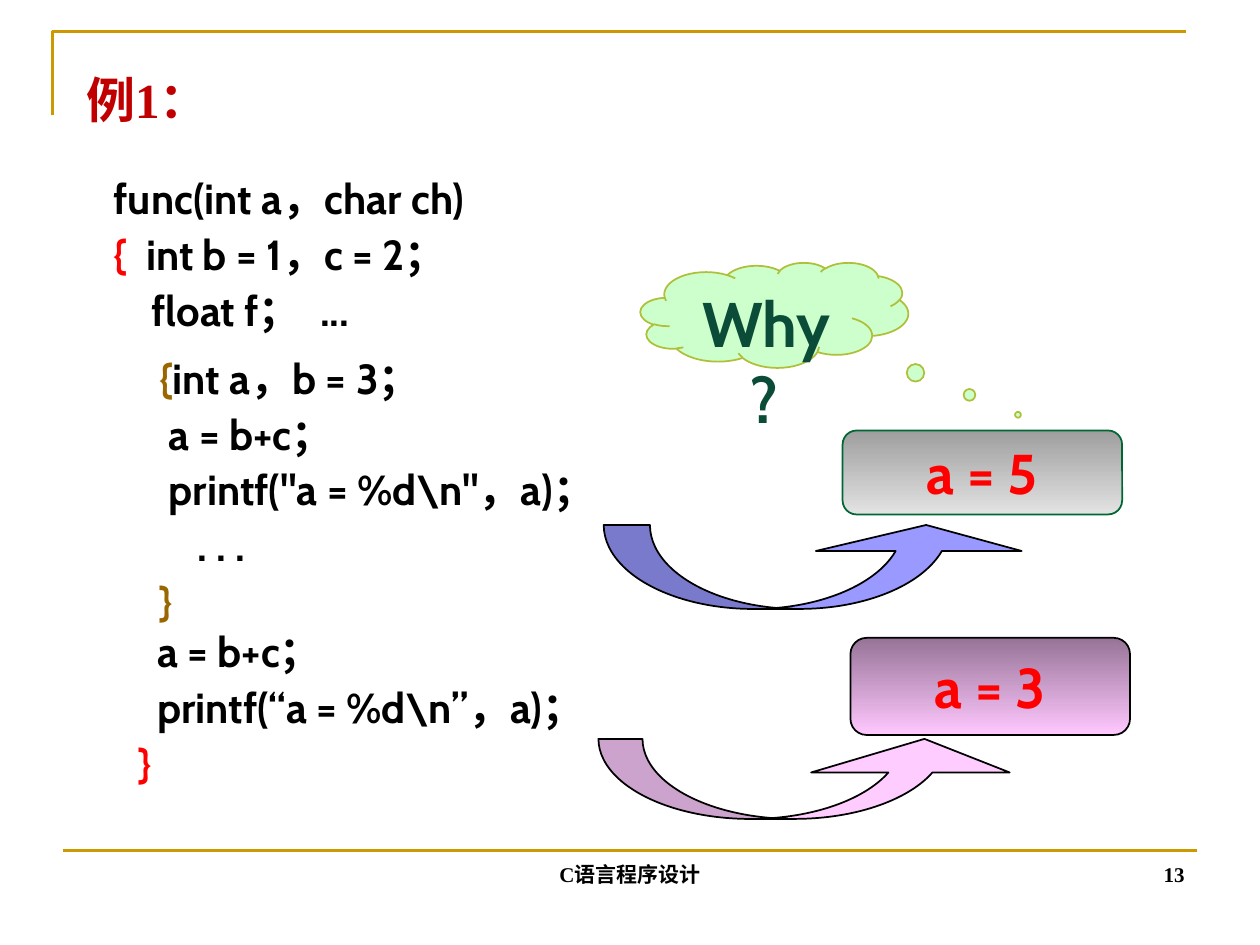
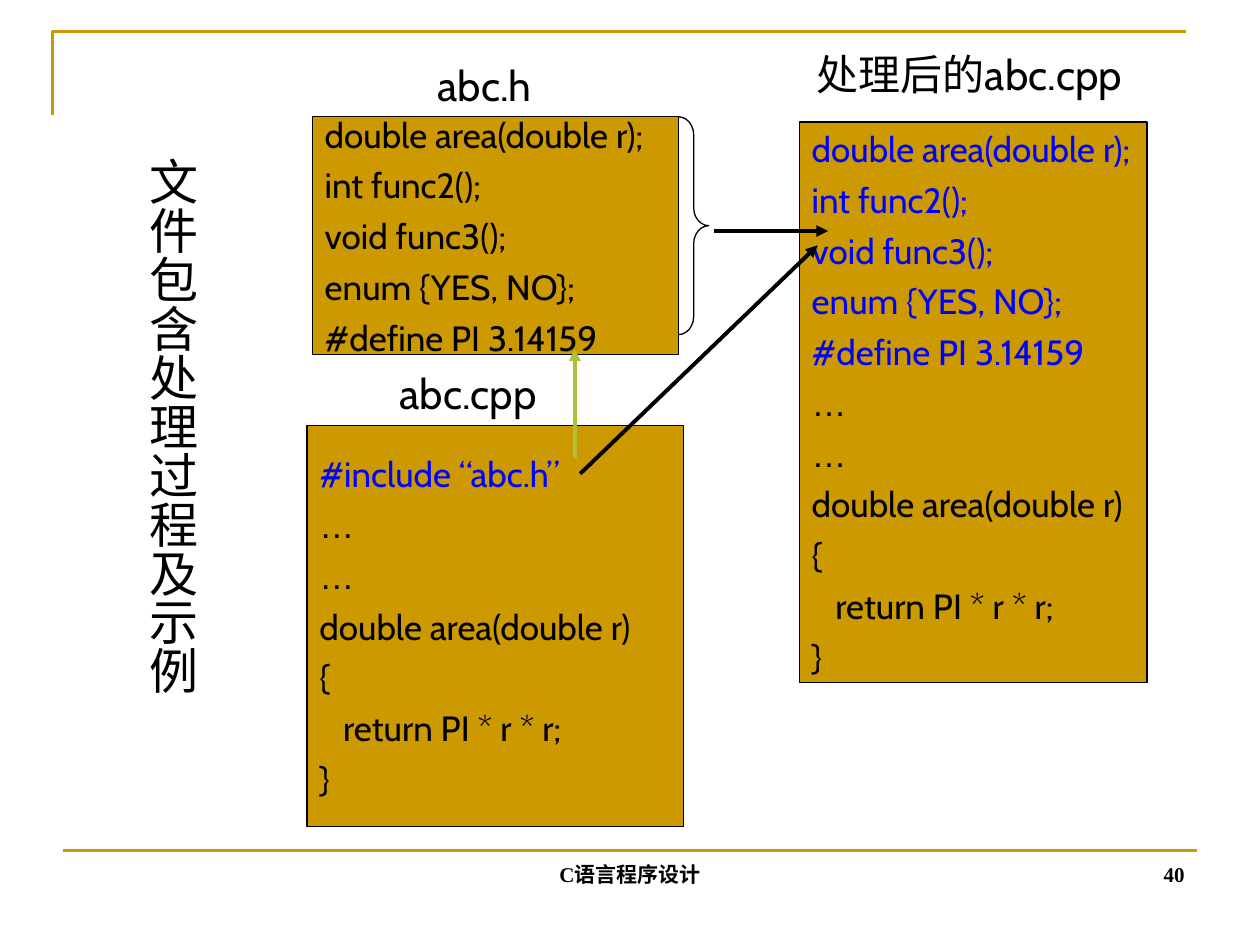
from lxml import etree
from pptx import Presentation
from pptx.dml.color import RGBColor
from pptx.enum.shapes import MSO_CONNECTOR, MSO_SHAPE as SHAPE
from pptx.enum.text import MSO_ANCHOR as ANCHOR, MSO_AUTO_SIZE, PP_ALIGN as ALIGN
from pptx.oxml.ns import qn
from pptx.util import Pt

PX = 9525
GOLD, BLACK, RED, BROWN = "CC9900", "000000", "FF0000", "996600"
BLUE, OLIVE = "0000FF", "AFBF39"
SERIF, SANS = "Times New Roman", "Cabin"


def color(hex_code):
    return RGBColor.from_string(hex_code)


def write(frame, lines, size, font=SANS, bold=False, before=0, align=ALIGN.LEFT,
          anchor=ANCHOR.TOP, wrap=True):
    frame.word_wrap = wrap
    frame.auto_size = MSO_AUTO_SIZE.NONE
    frame.vertical_anchor = anchor
    for number, line in enumerate(lines):
        paragraph = frame.add_paragraph() if number else frame.paragraphs[0]
        paragraph.alignment = align
        paragraph.space_before = Pt(before if number else 0)
        for text, ink in line:
            run = paragraph.add_run()
            run.text = text
            run.font.name = "Arial" if text == "…" else font
            run.font.size = Pt(size)
            run.font.bold = bold
            run.font.color.rgb = color(ink)


deck = Presentation()
deck.slide_width, deck.slide_height = 960 * PX, 720 * PX
title_only = deck.slide_layouts[5]
scope_slide = deck.slides.add_slide(title_only)
include_slide = deck.slides.add_slide(title_only)

for slide, page in ((scope_slide, "13"), (include_slide, "40")):
    outline = slide.shapes.build_freeform(40, 88, scale=PX)
    outline.add_line_segments([(40, 24), (904, 24)], close=False)
    corner = outline.convert_to_shape()
    corner.shadow.inherit = False
    corner.fill.background()
    footer_rule = slide.shapes.add_connector(
        MSO_CONNECTOR.STRAIGHT, 48 * PX, 648 * PX, 912 * PX, 648 * PX)
    etree.SubElement(footer_rule._element.spPr, qn("a:effectLst"))
    for rule in (corner, footer_rule):
        rule.line.color.rgb = color(GOLD)
        rule.line.width = Pt(1.5)
    for text, left, width, align in (("C语言程序设计", 328, 304, ALIGN.CENTER),
                                     (page, 688, 224, ALIGN.RIGHT)):
        footer = slide.shapes.add_textbox(left * PX, 632 * PX, width * PX, 48 * PX)
        write(footer.text_frame, [[(text, BLACK)]], 12, SERIF, True,
              align=align, anchor=ANCHOR.BOTTOM)

heading = scope_slide.shapes.title
heading.left, heading.top, heading.width, heading.height = [
    v * PX for v in (56, 38, 312, 74)]
write(heading.text_frame, [[("例1：", "C00000")]], 28, SERIF, True, anchor=ANCHOR.MIDDLE)

code_blocks = [
    ((70, 127, 538, 132), [
        [(" func(int a，char ch)", BLACK)],
        [(" ", BLACK), ("{", RED), ("  int b = 1，c = 2；", BLACK)],
        [("     float f；  ...", BLACK)]]),
    ((112, 264, 512, 218), [
        [("{", BROWN), ("int a，b = 3；", BLACK)],
        [(" a = b+c；", BLACK)],
        [(' printf("a = %d\\n"，a)；', BLACK)],
        [("    . . .", BLACK)],
        [("}", BROWN)]]),
    ((96, 472, 512, 133), [
        [("  a = b+c；", BLACK)],
        [("  printf(“a = %d\\n”，a)；", BLACK)],
        [("}", RED)]]),
]
for place, lines in code_blocks:
    code = scope_slide.shapes.add_textbox(*[v * PX for v in place])
    write(code.text_frame, lines, 24, bold=True, before=3)

outputs = [
    ("a = 5", (642, 328, 213, 64), ("9E9E9E", "E3E3E3"), "006633",
     (460, 400, 324, 64), (0.55, 2.45, 0.31), "9999FF"),
    ("a = 3", (648, 486, 213, 74), ("977497", "FFC8FF"), BLACK,
     (456, 563, 324, 61), (0.55, 2.48, 0.42), "FFCCFF"),
]
for text, place, shades, edge, arrow_place, bends, arrow_fill in outputs:
    result = scope_slide.shapes.add_shape(
        SHAPE.ROUNDED_RECTANGLE, *[v * PX for v in place])
    result.fill.gradient()
    result.fill.gradient_angle = 270
    for stop, shade in zip(result.fill.gradient_stops, shades):
        stop.color.rgb = color(shade)
    write(result.text_frame, [[(text, RED)]], 32, bold=True,
          align=ALIGN.CENTER, anchor=ANCHOR.MIDDLE, wrap=False)
    arrow = scope_slide.shapes.add_shape(
        SHAPE.CURVED_UP_ARROW, *[v * PX for v in arrow_place])
    for index, bend in enumerate(bends):
        arrow.adjustments[index] = bend
    arrow.fill.solid()
    arrow.fill.fore_color.rgb = color(arrow_fill)
    for shape, ink in ((result, edge), (arrow, BLACK)):
        shape.shadow.inherit = False
        shape.line.color.rgb = color(ink)
        shape.line.width = Pt(1)

question = scope_slide.shapes.add_shape(
    SHAPE.CLOUD_CALLOUT, 488 * PX, 200 * PX, 204 * PX, 80 * PX)
question.adjustments[0] = 0.91
question.adjustments[1] = 0.95
question.shadow.inherit = False
question.fill.solid()
question.fill.fore_color.rgb = color("CCFFCC")
question.line.color.rgb = color(OLIVE)
question.line.width = Pt(1)
write(question.text_frame, [[("Why?", "0A4C38")]], 36, bold=True, align=ALIGN.CENTER)

topic = include_slide.shapes.title
topic.left, topic.top, topic.width, topic.height = [v * PX for v in (96, 110, 63, 458)]
write(topic.text_frame, [[("文件包含处理过程及示例", BLACK)]], 28)
topic.text_frame._txBody.bodyPr.set("vert", "eaVert")
topic.text_frame.margin_left = topic.text_frame.margin_right = 5 * PX
topic.text_frame.margin_top = topic.text_frame.margin_bottom = 10 * PX

header_lines = ["double area(double r);", "int func2();", "void func3();",
                "enum {YES, NO};", "#define PI 3.14159"]
body_lines = ["…", "…", "double area(double r)", "{", "   return PI * r * r;", "}"]
files = [
    ("abc.cpp", (295, 275, 135, 48), (234, 324, 287, 306),
     ["#include “abc.h”"], BLUE, body_lines),
    ("abc.h", (324, 41, 100, 48), (238, 89, 279, 181), header_lines, BLACK, []),
    ("处理后的abc.cpp", (613, 32, 271, 48), (609, 93, 265, 427),
     header_lines, BLUE, body_lines),
]
for name, name_place, place, top_lines, top_ink, rest in files:
    listing = include_slide.shapes.add_shape(SHAPE.RECTANGLE, *[v * PX for v in place])
    listing.shadow.inherit = False
    listing.fill.solid()
    listing.fill.fore_color.rgb = color(GOLD)
    listing.line.color.rgb = color(BLACK)
    listing.line.width = Pt(0.75)
    lines = [[(line, top_ink)] for line in top_lines] + [[(line, BLACK)] for line in rest]
    write(listing.text_frame, lines, 20, before=5, anchor=ANCHOR.MIDDLE, wrap=False)
    file_name = include_slide.shapes.add_textbox(*[v * PX for v in name_place])
    write(file_name.text_frame, [[(name, BLACK)]], 24, wrap=False)

brace = include_slide.shapes.add_shape(
    SHAPE.RIGHT_BRACE, 517 * PX, 89 * PX, 23 * PX, 166 * PX)
brace.adjustments[0] = 0.6
brace.shadow.inherit = False
brace.fill.background()
brace.line.color.rgb = color(BLACK)
brace.line.width = Pt(0.75)

for ends, ink in (((544, 176, 631, 176), BLACK), ((438, 349, 438, 266), OLIVE),
                  ((442, 361, 623, 187), BLACK)):
    flow = include_slide.shapes.add_connector(
        MSO_CONNECTOR.STRAIGHT, *[v * PX for v in ends])
    flow.line.color.rgb = color(ink)
    flow.line.width = Pt(2.25)
    etree.SubElement(flow.line._get_or_add_ln(), qn("a:tailEnd"), type="triangle")
    etree.SubElement(flow._element.spPr, qn("a:effectLst"))

deck.save("out.pptx")
